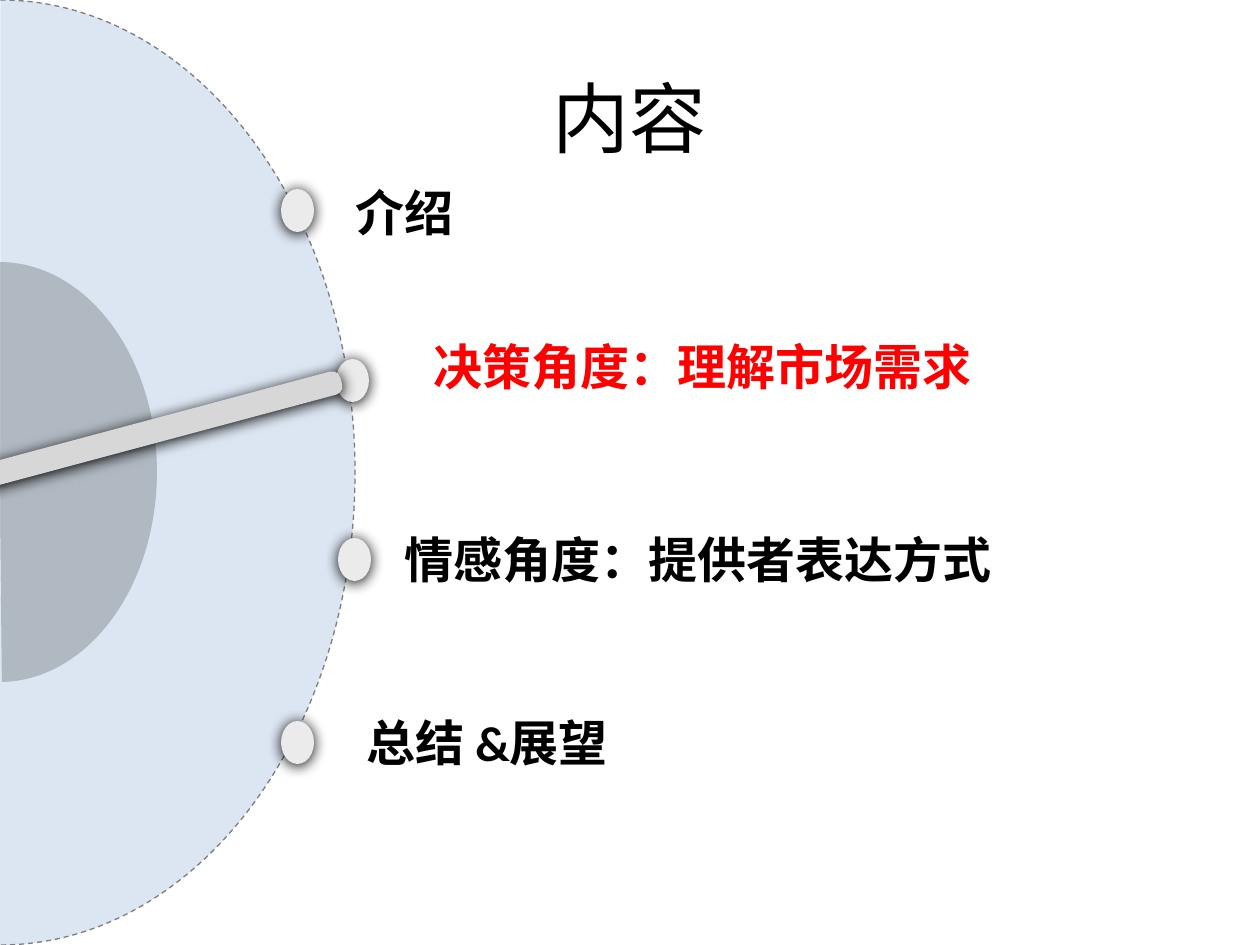
from lxml.etree import SubElement
from pptx import Presentation
from pptx.dml.color import RGBColor
from pptx.enum.dml import MSO_LINE
from pptx.enum.shapes import MSO_SHAPE
from pptx.enum.text import MSO_ANCHOR, MSO_AUTO_SIZE, PP_ALIGN
from pptx.oxml.ns import qn
from pptx.util import Emu, Pt

EMU_PER_PX = 914400 / 126
COLORS = {
    "disc": "DCE6F2", "rim": "7D7D7D", "dot": "EBEBEB", "needle": "D7D7D7",
    "text": "000000", "active": "FF0000", "shade": "000000",
}
DOT_SIZE = (33, 43)
ITEMS = [
    ("介绍", (343, 176, 756, 72), (281, 189), "text"),
    ("决策角度：理解市场需求", (421, 330, 756, 72), (336, 359), "active"),
    ("情感角度：提供者表达方式", (392, 523, 756, 72), (338, 538), "text"),
    ("总结 &展望", (354, 706, 277, 72), (281, 721), "text"),
]


def px(*values):
    """Turn pixel lengths into EMU."""
    return [Emu(round(v * EMU_PER_PX)) for v in values]


def rgb(name):
    """Look up a named colour."""
    return RGBColor.from_string(COLORS[name])


def add_filled(s, kind, box, color, adjustments=()):
    """Add a preset shape with a plain fill and no line or shadow."""
    sp = s.shapes.add_shape(kind, *px(*box))
    sp.shadow.inherit = False
    sp.fill.solid()
    sp.fill.fore_color.rgb = rgb(color)
    sp.line.fill.background()
    for i, value in enumerate(adjustments):
        sp.adjustments[i] = value
    return sp


def add_shadow(sp):
    """Give a shape a soft shadow just below it."""
    effects = sp._element.spPr.find(qn("a:effectLst"))
    shadow = SubElement(effects, qn("a:outerShdw"), blurRad=str(Pt(8.5)),
                        dist=str(Pt(1)), dir="5400000", algn="t", rotWithShape="0")
    SubElement(shadow, qn("a:srgbClr"), val=COLORS["shade"])


def set_text(tf, text, size, color, bold=False):
    """Write one formatted run, centred vertically."""
    tf.word_wrap = True
    tf.vertical_anchor = MSO_ANCHOR.MIDDLE
    p = tf.paragraphs[0]
    r = p.add_run()
    r.text = text
    r.font.color.rgb = rgb(color)
    for key, value in {"name": "Calibri", "size": Pt(size), "bold": bold}.items():
        setattr(r.font, key, value)
    return p


def add_title(s, text, box):
    """Place and format the title placeholder."""
    sp = s.shapes.title
    for key, value in zip(("left", "top", "width", "height"), px(*box)):
        setattr(sp, key, value)
    set_text(sp.text_frame, text, 44, "text").alignment = PP_ALIGN.CENTER


def add_dial(s):
    """Draw the half disc with its dashed rim and the translucent hub."""
    disc = add_filled(s, MSO_SHAPE.ARC, (-354, 0, 709, 945), "disc", (162, 54.07))
    disc.line.color.rgb = rgb("rim")
    disc.line.width = Pt(0.75)
    disc.line.dash_style = MSO_LINE.DASH
    hub = add_filled(s, MSO_SHAPE.ARC, (-158, 262, 315, 420), "shade", (162, 53.6))
    clr = hub._element.spPr.find(qn("a:solidFill")).find(qn("a:srgbClr"))
    SubElement(clr, qn("a:alpha"), val="20000")


def add_item(s, text, box, dot, color):
    """Add an agenda entry and its dot on the rim."""
    sp = s.shapes.add_textbox(*px(*box))
    set_text(sp.text_frame, text, 28, color, bold=True)
    sp.text_frame.auto_size = MSO_AUTO_SIZE.SHAPE_TO_FIT_TEXT
    add_shadow(add_filled(s, MSO_SHAPE.OVAL, dot + DOT_SIZE, "dot"))


def add_needle(s):
    """Add the pointer aimed at the active entry."""
    sp = add_filled(s, MSO_SHAPE.ROUNDED_RECTANGLE, (135, 232, 24, 402), "needle", (0.35,))
    sp.rotation = 75
    add_shadow(sp)


def main():
    """Build the agenda slide."""
    prs = Presentation()
    prs.slide_width, prs.slide_height = px(1260, 945)
    s = prs.slides.add_slide(prs.slide_layouts[5])
    add_title(s, "内容", (63, 38, 1134, 158))
    add_dial(s)
    for item in ITEMS:
        add_item(s, *item)
    add_needle(s)
    prs.save("out.pptx")


if __name__ == "__main__":
    main()
